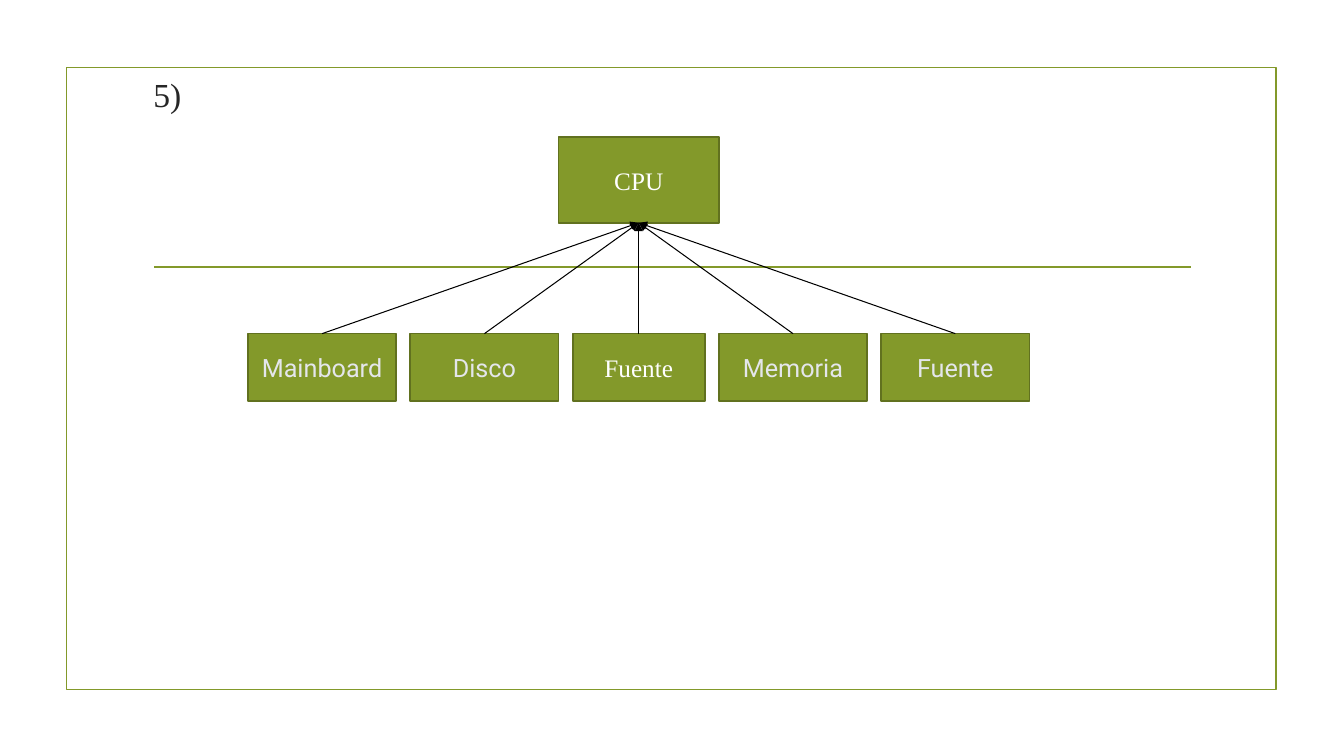
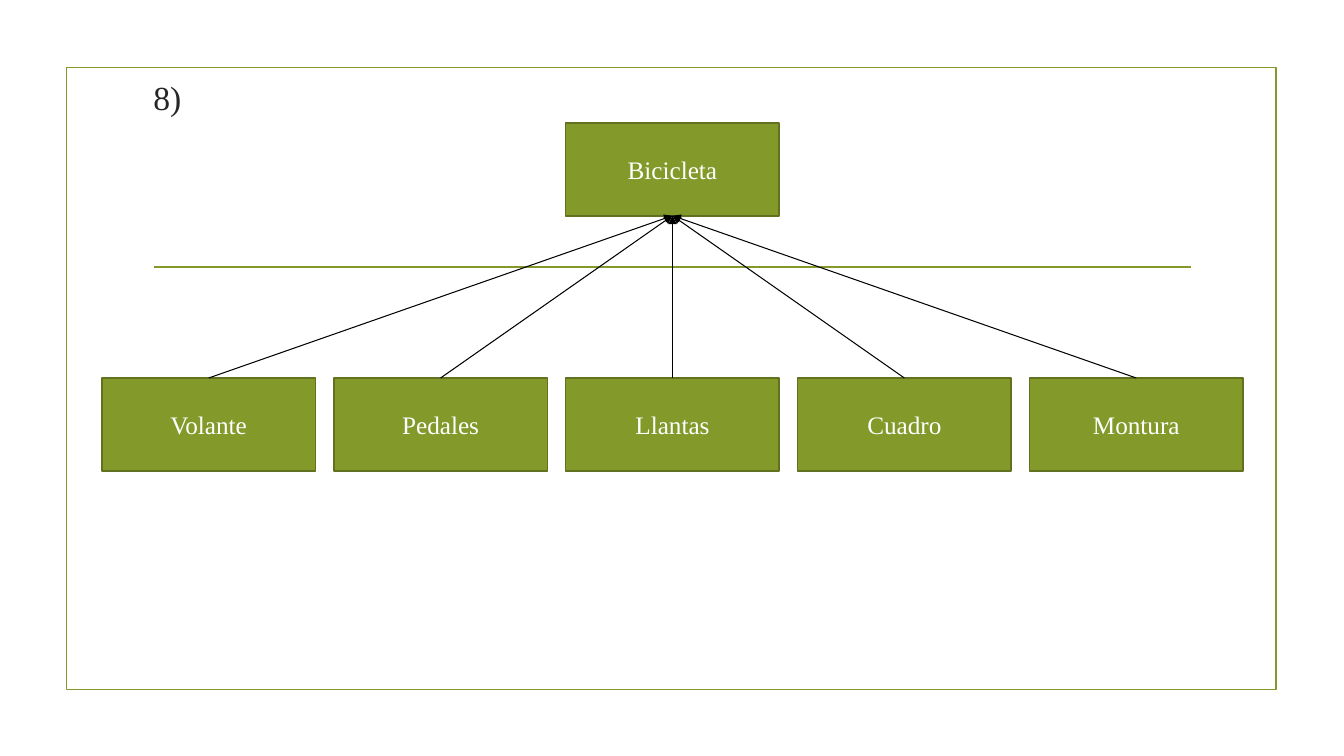
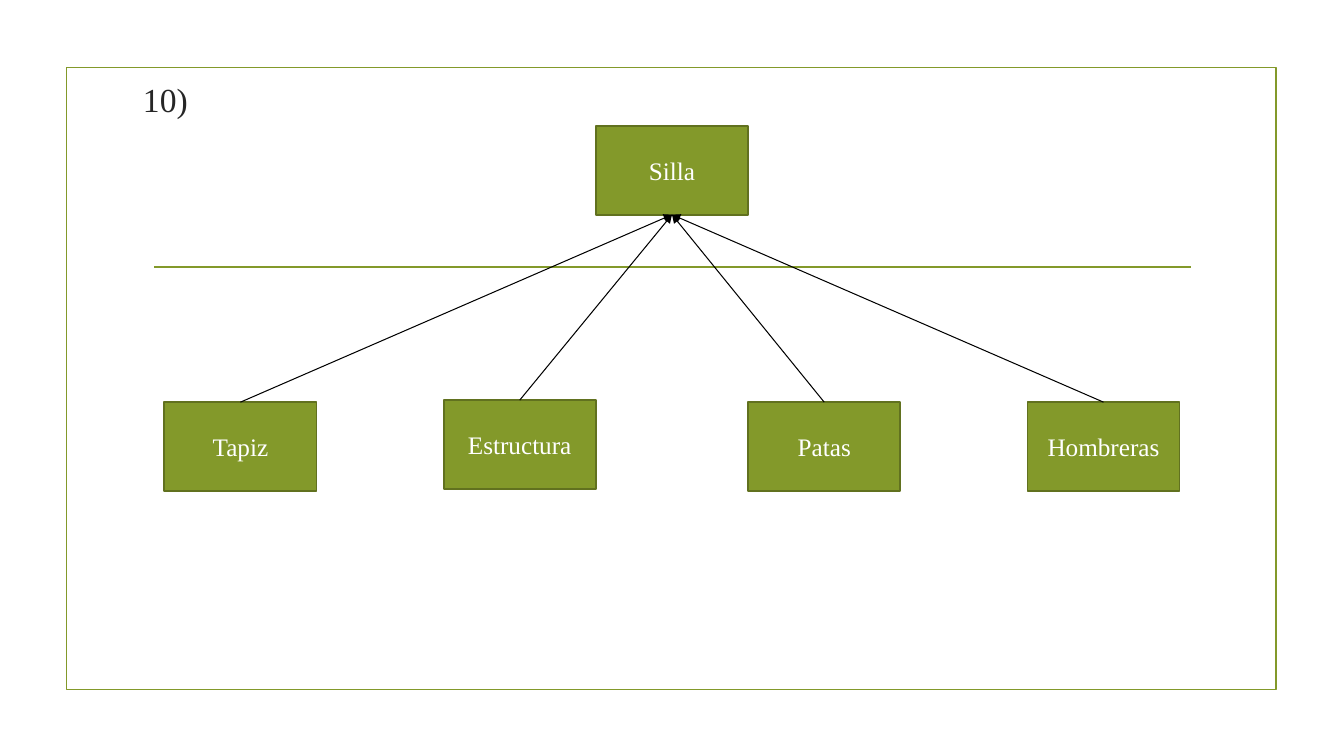
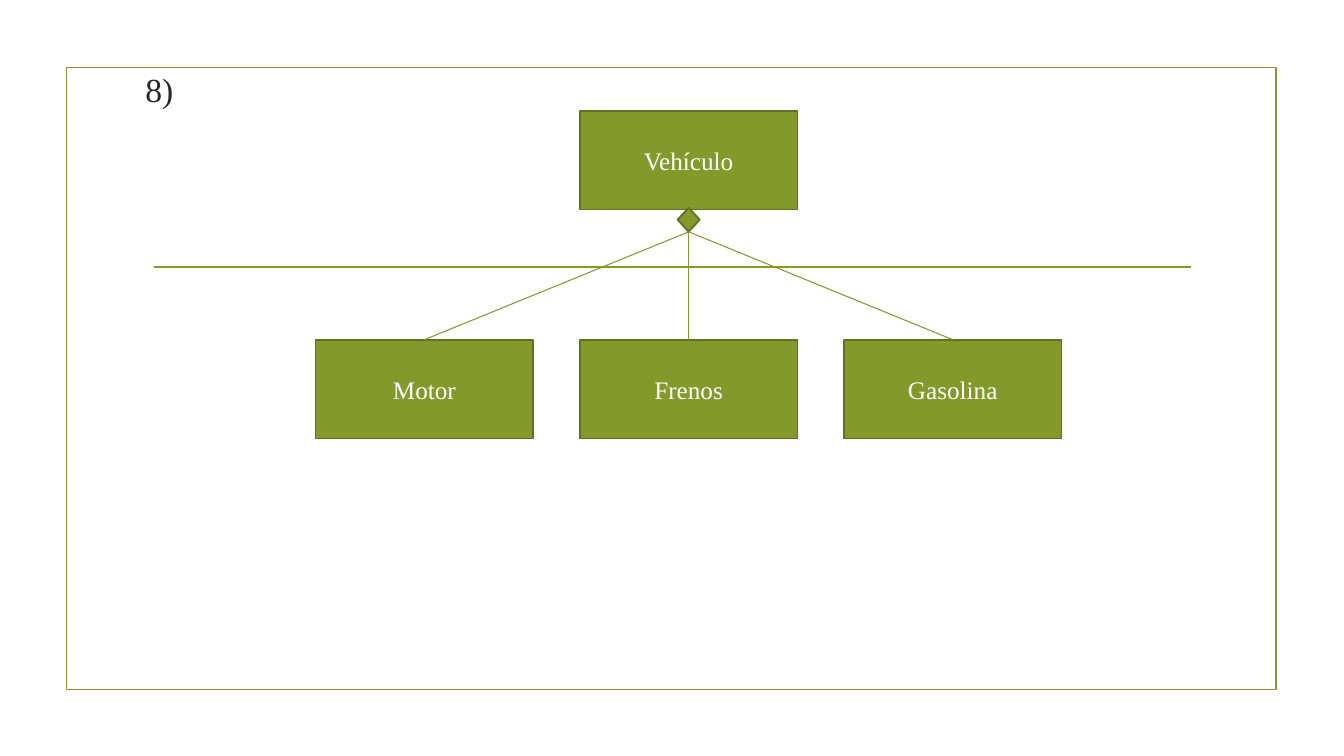
from dataclasses import dataclass

from pptx import Presentation, util as u
from pptx.dml.color import RGBColor
from pptx.enum import shapes, text
from pptx.oxml.ns import qn
from lxml import etree

PX = 9144  # EMU; 100 px to the inch

GREEN = RGBColor(0x83, 0x99, 0x2A)
DARK_GREEN = RGBColor(0x61, 0x71, 0x1F)
CHARCOAL = RGBColor(0x26, 0x26, 0x26)
PALE_GREY = RGBColor(0xE4, 0xE6, 0xEB)
WHITE = RGBColor(0xFF, 0xFF, 0xFF)
BLACK = RGBColor(0x00, 0x00, 0x00)

SERIF = "Times New Roman"
RECTANGLE = shapes.MSO_SHAPE.RECTANGLE
CENTER = text.PP_ALIGN.CENTER
JUSTIFY = text.PP_ALIGN.JUSTIFY
TOP_SIDE, BOTTOM_SIDE = 0, 2
TITLE_HEIGHT = 143


@dataclass(frozen=True)
class Style:
    font: str
    color: RGBColor


PLAIN = Style(SERIF, WHITE)
SANS = Style("Roboto", PALE_GREY)


@dataclass(frozen=True)
class Label:
    text: str
    width: int
    style: Style = PLAIN


@dataclass(frozen=True)
class Box:
    label: Label
    left: int
    top: int
    height: int


@dataclass(frozen=True)
class Title:
    text: str
    left: int
    top: int
    width: int = 1050
    align: text.PP_ALIGN = JUSTIFY


@dataclass(frozen=True)
class Diagram:
    title: Title
    whole: Box
    pieces: list[Box]
    diamond: bool = False


def row(labels: list[Label], left: int, top: int, height: int, gap: int) -> list[Box]:
    """Set labels side by side with equal gaps."""
    boxes = []
    for label in labels:
        boxes.append(Box(label, left, top, height))
        left += label.width + gap
    return boxes


DIAGRAMS = [
    Diagram(
        Title("5)", 142, 22),
        Box(Label("CPU", 159), 554, 136, 85),
        row([Label("Mainboard", 147, SANS), Label("Disco", 147, SANS),
             Label("Fuente", 131), Label("Memoria", 147, SANS),
             Label("Fuente", 147, SANS)], left=246, top=331, height=67, gap=14),
    ),
    Diagram(
        Title("8)", 142, 25),
        Box(Label("Bicicleta", 212), 561, 122, 92),
        row([Label(name, 212) for name in
             ("Volante", "Pedales", "Llantas", "Cuadro", "Montura")],
            left=101, top=375, height=92, gap=18),
    ),
    Diagram(
        Title("10)", 64, 27, 200, CENTER),
        Box(Label("Silla", 151), 591, 125, 88),
        [Box(Label(name, 151), left, top, 88) for name, left, top in
         (("Tapiz", 163, 399), ("Estructura", 440, 397),
          ("Patas", 742, 399), ("Hombreras", 1019, 399))],
    ),
    Diagram(
        Title("8)", 58, 17, 200, CENTER),
        Box(Label("Vehículo", 216), 575, 110, 98),
        row([Label(name, 216) for name in ("Motor", "Frenos", "Gasolina")],
            left=313, top=337, height=98, gap=46),
        diamond=True,
    ),
]


def add_outlined(page, kind, left: int, top: int, width: int, height: int,
                 line: RGBColor, fill: RGBColor | None = None):
    shape = page.shapes.add_shape(kind, left * PX, top * PX, width * PX, height * PX)
    shape.shadow.inherit = False
    if fill is None:
        shape.fill.background()
    else:
        shape.fill.solid()
        shape.fill.fore_color.rgb = fill
    shape.line.color.rgb = line
    shape.line.width = u.Pt(1.25)
    return shape


def add_line(page, start: tuple[int, int], end: tuple[int, int],
             color: RGBColor, width: float):
    line = page.shapes.add_connector(
        shapes.MSO_CONNECTOR.STRAIGHT, *(n * PX for n in (*start, *end)))
    line.line.color.rgb = color
    line.line.width = u.Pt(width)
    etree.SubElement(line._element.spPr, qn("a:effectLst"))
    return line


def add_box(page, box: Box):
    label = box.label
    shape = add_outlined(page, RECTANGLE, box.left, box.top, label.width,
                         box.height, DARK_GREEN, GREEN)
    frame = shape.text_frame
    frame.text = label.text
    frame.vertical_anchor = text.MSO_ANCHOR.MIDDLE
    para = frame.paragraphs[0]
    para.alignment = CENTER
    para.font.size = u.Pt(18)
    para.font.name = label.style.font
    para.font.color.rgb = label.style.color
    return shape


def set_title(page, title: Title) -> None:
    shape = page.shapes.title
    shape.left, shape.top = title.left * PX, title.top * PX
    shape.width, shape.height = title.width * PX, TITLE_HEIGHT * PX
    frame = shape.text_frame
    frame.text = title.text
    frame.vertical_anchor = text.MSO_ANCHOR.MIDDLE
    para = frame.paragraphs[0]
    para.alignment = title.align
    para.font.size = u.Pt(24)
    para.font.name = SERIF
    para.font.color.rgb = CHARCOAL


def join(page, piece, hub, color: RGBColor, arrow: bool) -> None:
    """Run a line from the top of a piece to the bottom of the hub."""
    line = add_line(page, (0, 0), (0, 0), color, 0.75)
    line.begin_connect(piece, TOP_SIDE)
    line.end_connect(hub, BOTTOM_SIDE)
    if arrow:
        outline = line._element.spPr.find(qn("a:ln"))
        etree.SubElement(outline, qn("a:tailEnd"), type="triangle")


def add_diagram(deck, diagram: Diagram) -> None:
    page = deck.slides.add_slide(deck.slide_layouts.get_by_name("Title Only"))
    add_outlined(page, RECTANGLE, 66, 67, 1200, 617, GREEN)
    add_line(page, (153, 265), (1181, 265), GREEN, 1.25)
    set_title(page, diagram.title)

    hub = add_box(page, diagram.whole)
    pieces = [add_box(page, box) for box in diagram.pieces]
    if diagram.diamond:
        hub = add_outlined(page, shapes.MSO_SHAPE.FLOWCHART_DECISION,
                           672, 206, 22, 24, DARK_GREEN, GREEN)
    for piece in pieces:
        join(page, piece, hub, GREEN if diagram.diamond else BLACK, not diagram.diamond)


def main() -> None:
    deck = Presentation()
    deck.slide_width, deck.slide_height = 1333 * PX, 750 * PX
    for diagram in DIAGRAMS:
        add_diagram(deck, diagram)
    deck.save("out.pptx")


if __name__ == "__main__":
    main()
